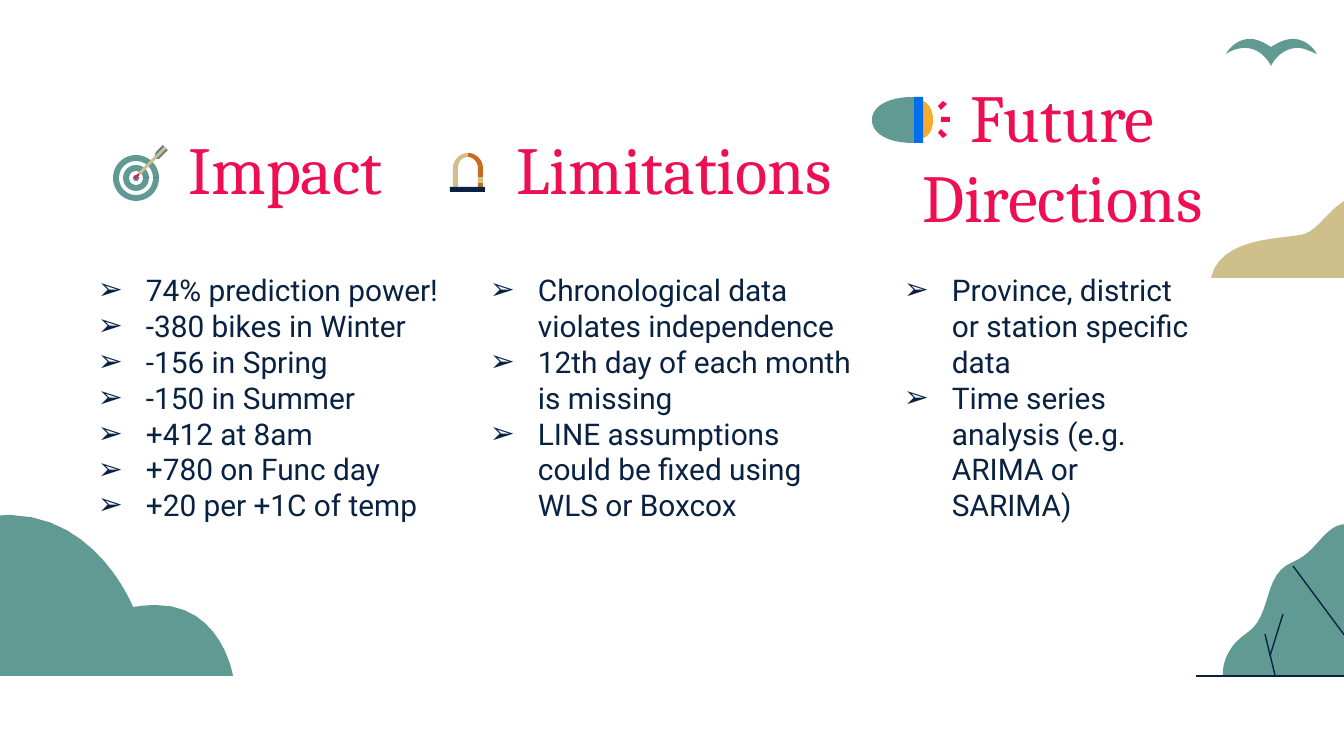
"""Builds the slide on impact, limitations and future directions."""
from lxml import etree
from pptx import Presentation
from pptx.dml.color import RGBColor
from pptx.enum.shapes import MSO_CONNECTOR, MSO_SHAPE
from pptx.enum.text import MSO_ANCHOR, PP_ALIGN
from pptx.oxml.ns import qn
from pptx.util import Emu, Pt

STRAIGHT = MSO_CONNECTOR.STRAIGHT
RECT, OVAL = MSO_SHAPE.RECTANGLE, MSO_SHAPE.OVAL
TOP, CENTER, LEFT = MSO_ANCHOR.TOP, PP_ALIGN.CENTER, PP_ALIGN.LEFT

GREEN = RGBColor(0x60, 0x9A, 0x92)
SAND = RGBColor(0xCF, 0xBF, 0x8B)
NAVY = RGBColor(0x09, 0x22, 0x42)
PINK = RGBColor(0xED, 0x0F, 0x51)
SLATE = RGBColor(0x65, 0x7A, 0x8D)
PALE = RGBColor(0xE2, 0xE9, 0xED)
WHITE = RGBColor(0xFF, 0xFF, 0xFF)
ORANGE = RGBColor(0xC7, 0x6C, 0x1F)
AMBER = RGBColor(0xF7, 0xAC, 0x2D)
BLUE = RGBColor(0x00, 0x6E, 0xED)

CURVE_STEPS = 12


def px(length):
    return Emu(round(length * 914400 / 134.4))


def bezier(start, curve):
    """Points along a cubic curve given as two controls and an end."""
    xs, ys = (start[0], *curve[::2]), (start[1], *curve[1::2])
    for step in range(1, CURVE_STEPS + 1):
        t = step / CURVE_STEPS
        weights = ((1 - t) ** 3, 3 * t * (1 - t) ** 2, 3 * t * t * (1 - t), t ** 3)
        yield tuple(sum(w * v for w, v in zip(weights, axis)) for axis in (xs, ys))


class SlideArtist:
    """Holds the style and the current slide."""

    heading_font, heading_size = "Cambria", Pt(36)
    body_font, body_size = "Roboto", Pt(16)
    line_width = Pt(0.75)

    def __init__(self, slide):
        self.shapes = slide.shapes

    def paint(self, shape, color):
        shape.shadow.inherit = False
        shape.fill.solid()
        shape.fill.fore_color.rgb = color
        shape.line.fill.background()

    def preset(self, kind, left, top, width, height, color):
        self.paint(self.shapes.add_shape(kind, px(left), px(top), px(width), px(height)), color)

    def outline(self, color, start, *segments):
        """Closed form; a pair is a line, six numbers are a curve."""
        points = [start]
        for segment in segments:
            points.extend([segment] if len(segment) == 2 else bezier(points[-1], segment))
        (x, y), *rest = [(px(x), px(y)) for x, y in points]
        builder = self.shapes.build_freeform(x, y, scale=1.0)
        builder.add_line_segments(rest, close=True)
        self.paint(builder.convert_to_shape(), color)

    def line(self, x1, y1, x2, y2):
        connector = self.shapes.add_connector(STRAIGHT, px(x1), px(y1), px(x2), px(y2))
        connector.line.color.rgb = NAVY
        connector.line.width = self.line_width
        etree.SubElement(connector._element.spPr, qn("a:effectLst"))

    def text(self, left, top, width, height, lines, font, size, color, align):
        frame = self.shapes.add_textbox(px(left), px(top), px(width), px(height)).text_frame
        frame.word_wrap = True
        frame.vertical_anchor = TOP
        frame.margin_left = frame.margin_right = px(13)
        frame.margin_top = frame.margin_bottom = px(13)
        frame.text = "\n".join(lines)
        for paragraph in frame.paragraphs:
            paragraph.alignment = align
            paragraph.font.name = font
            paragraph.font.size = size
            paragraph.font.color.rgb = color
        return frame.paragraphs

    def heading(self, left, top, width, title):
        self.text(left, top, width, 117, [title],
                  self.heading_font, self.heading_size, PINK, CENTER)

    def bullets(self, left, width, items):
        for paragraph in self.text(left, 259, width, 364, items,
                                   self.body_font, self.body_size, NAVY, LEFT):
            properties = paragraph._p.get_or_add_pPr()
            properties.set("marL", str(px(67)))
            properties.set("indent", str(px(-48)))
            bullet_color = etree.Element(qn("a:buClr"))
            etree.SubElement(bullet_color, qn("a:srgbClr"), val=str(NAVY))
            bullet_font = etree.Element(qn("a:buFont"), typeface=self.body_font)
            bullet = etree.Element(qn("a:buChar"), char="➢")
            for position, node in enumerate((bullet_color, bullet_font, bullet)):
                properties.insert(position, node)


def draw_scenery(artist):
    artist.outline(GREEN, (7, 515), (-78, 515, -112, 583, -112, 583),
                   (-112, 583, -228, 586, -235, 676), (233, 676),
                   (233, 676, 222, 605, 156, 605), (149, 605, 141, 606, 133, 607),
                   (133, 607, 98, 517, 11, 515))
    artist.outline(SAND, (1370, 194), (1364, 194), (1331, 198, 1321, 233, 1300, 235),
                   (1279, 239, 1220, 238, 1211, 278), (1480, 278),
                   (1480, 278, 1472, 245, 1438, 237), (1406, 228, 1399, 194, 1370, 194))
    artist.outline(GREEN, (1250, 39), (1234, 39, 1226, 54, 1226, 54),
                   (1232, 50, 1239, 48, 1245, 48), (1263, 48, 1271, 66, 1271, 66),
                   (1271, 66, 1279, 48, 1298, 48), (1304, 48, 1309, 51, 1317, 54),
                   (1317, 54, 1309, 39, 1293, 39), (1286, 39, 1279, 42, 1271, 47),
                   (1263, 42, 1257, 39, 1250, 39))
    artist.outline(GREEN, (1347, 524), (1324, 524, 1318, 552, 1293, 562),
                   (1262, 574, 1273, 616, 1247, 633), (1220, 651, 1223, 676, 1223, 676),
                   (1472, 676), (1472, 676, 1468, 629, 1435, 606),
                   (1403, 585, 1411, 558, 1371, 532), (1360, 527, 1353, 524, 1347, 524))
    for branch in ((1293, 566, 1348, 640), (1265, 634, 1275, 675),
                   (1283, 614, 1270, 656), (1196, 676, 1495, 676)):
        artist.line(*branch)


def draw_target(artist):
    center_x, center_y = 136, 178
    for radius, ring, band in ((23, GREEN, SLATE), (17, WHITE, PALE), (13, GREEN, SLATE),
                               (7, WHITE, PALE), (3, SLATE, SLATE)):
        artist.preset(OVAL, center_x - radius, center_y - radius, 2 * radius, 2 * radius, ring)
        artist.preset(RECT, center_x, center_y - 1, radius, 1, band)
    artist.outline(SLATE, (163, 145), (156, 152), (155, 155), (155, 159), (159, 159),
                   (161, 157), (168, 150), (167, 149), (164, 149), (164, 146))
    artist.outline(PINK, (140, 172), (134, 177), (136, 179), (141, 173))
    artist.outline(SAND, (164, 147), (138, 173), (140, 175), (166, 149), (166, 147))


def draw_magnet(artist):
    artist.outline(ORANGE, (481, 181), (478, 183), (478, 190), (483, 190), (483, 183))
    artist.outline(SAND, (481, 176), (478, 177), (478, 183), (483, 183), (483, 177))
    artist.outline(ORANGE, (468, 153), (466, 155), (468, 157), (473, 157, 478, 162, 478, 168),
                   (478, 177), (483, 177), (483, 168), (483, 160, 476, 153, 468, 153))
    artist.outline(SAND, (468, 153), (460, 153, 453, 160, 453, 168), (453, 190),
                   (458, 190), (458, 168), (458, 162, 462, 157, 468, 157))
    for left in (467, 450):
        artist.preset(RECT, left, 187, 18, 5, NAVY)


def draw_flashlight(artist):
    artist.outline(AMBER, (923, 101), (921, 120), (923, 138),
                   (923, 138, 933, 136, 933, 120), (933, 104, 923, 101, 923, 101))
    artist.preset(RECT, 941, 117, 9, 5, PINK)
    artist.outline(PINK, (943, 101), (938, 106), (941, 110), (947, 104))
    artist.outline(PINK, (941, 129), (938, 133), (943, 138), (947, 135))
    artist.outline(BLUE, (914, 97), (911, 120), (914, 143), (923, 143), (923, 97))
    artist.outline(GREEN, (913, 97), (887, 97, 872, 107, 872, 120),
                   (872, 133, 887, 143, 913, 143), (914, 143), (914, 97))


def main():
    deck = Presentation()
    deck.slide_width, deck.slide_height = px(1344), px(756)
    artist = SlideArtist(deck.slides.add_slide(deck.slide_layouts[6]))
    draw_scenery(artist)
    artist.heading(113, 114, 345, "Impact")
    artist.heading(485, 114, 378, "Limitations")
    artist.heading(890, 62, 345, "Future Directions")
    artist.bullets(66, 407, ["74% prediction power!", "-380 bikes in Winter",
                             "-156 in Spring", "-150 in Summer", "+412 at 8am",
                             "+780 on Func day", "+20 per +1C of temp"])
    artist.bullets(458, 407, ["Chronological data violates independence",
                              "12th day of each month is missing",
                              "LINE assumptions could be fixed using WLS or Boxcox"])
    artist.bullets(872, 345, ["Province, district or station specific data",
                              "Time series analysis (e.g. ARIMA or SARIMA)"])
    draw_target(artist)
    draw_magnet(artist)
    draw_flashlight(artist)
    deck.save("out.pptx")


if __name__ == "__main__":
    main()
